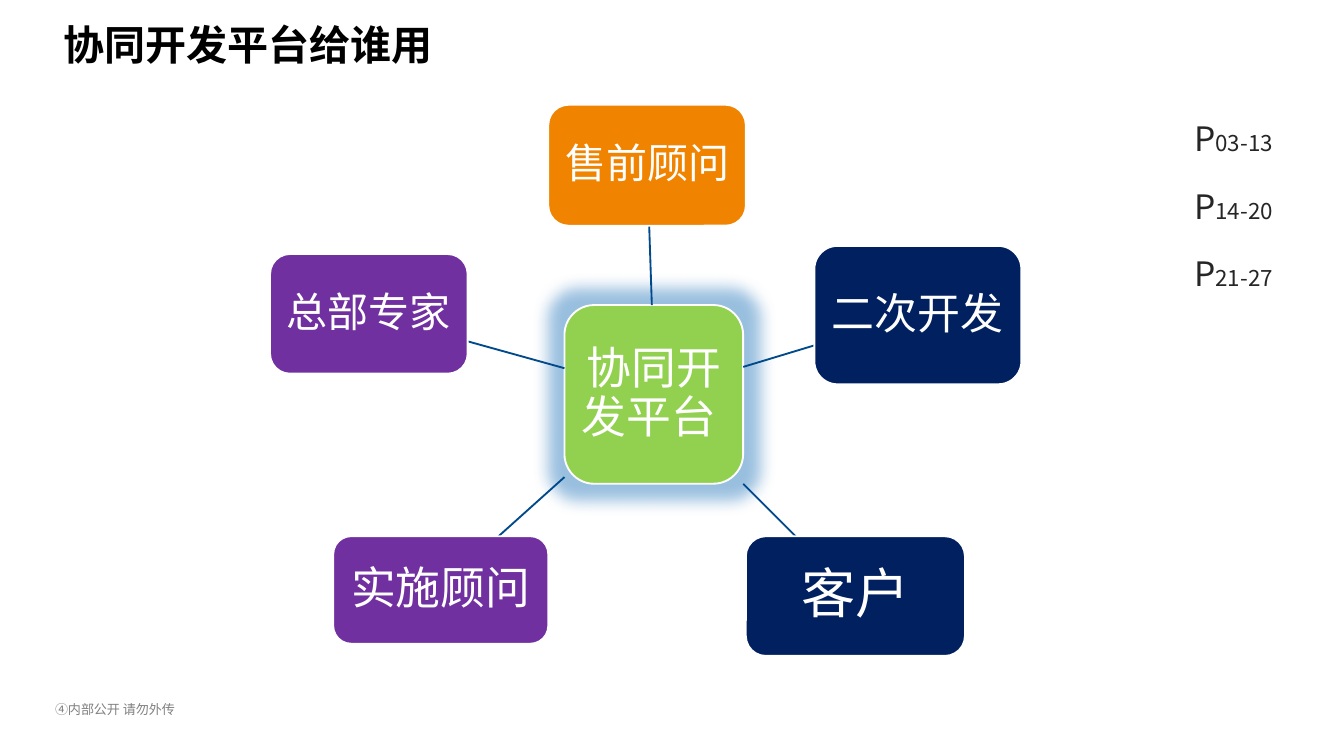
from dataclasses import dataclass

from lxml import etree
from pptx import Presentation
from pptx.dml.color import RGBColor
from pptx.enum import shapes, text
from pptx.oxml.ns import qn
from pptx.util import Inches, Pt


@dataclass(frozen=True)
class Theme:
    """Colours, fonts and type sizes of the slide."""
    white: str = "FFFFFF"
    black: str = "000000"
    body: str = "262626"
    footer: str = "808080"
    line: str = "00498A"
    glow: str = "0060B0"
    green: str = "92D050"
    orange: str = "F08300"
    navy: str = "002060"
    purple: str = "7030A0"
    cjk: str = "Noto Sans CJK SC"
    latin: str = "Calibri"
    title_size: int = 22
    letter_size: int = 18
    range_size: int = 12
    footer_size: int = 7
    hub_size: int = 24


@dataclass(frozen=True)
class Box:
    """Position and size in inches."""
    left: float
    top: float
    width: float
    height: float

    def emu(self) -> tuple:
        """Return the four lengths for python-pptx."""
        return tuple(Inches(v) for v in (self.left, self.top, self.width, self.height))


@dataclass(frozen=True)
class Role:
    """A user group and the spoke that joins it to the hub."""
    label: str
    box: Box
    color: str
    size: int
    start: tuple
    end: tuple


T = Theme()
HUB = Box(4.2, 2.27, 1.33, 1.33)
ROLES = [
    Role("售前顾问", Box(4.08, 0.78, 1.47, 0.9), T.orange, 22, (4.85, 2.27), (4.83, 1.67)),
    Role("二次开发", Box(6.06, 1.83, 1.54, 1.03), T.navy, 23, (5.53, 2.73), (6.06, 2.57)),
    Role("客户", Box(5.55, 3.99, 1.63, 0.89), T.navy, 29, (5.53, 3.6), (5.92, 3.99)),
    Role("实施顾问", Box(2.48, 3.99, 1.6, 0.8), T.purple, 24, (4.2, 3.55), (3.71, 3.99)),
    Role("总部专家", Box(2.01, 1.89, 1.47, 0.89), T.purple, 22, (4.2, 2.74), (3.48, 2.54)),
]
PAGE_RANGES = ["03-13", "14-20", "21-27"]


def style(p, size: float, color: str, font: str, bold: bool = False) -> None:
    """Set the font of a paragraph, East Asian face included."""
    p.font.size = Pt(size)
    p.font.bold = bold
    p.font.color.rgb = RGBColor.from_string(color)
    p.font.name = font
    props = p._p.find(f"{qn('a:pPr')}/{qn('a:defRPr')}")
    etree.SubElement(props, qn("a:ea"), typeface=T.cjk)


def set_margins(tf, x: float, y: float) -> None:
    """Set the side and the top and bottom insets."""
    tf.margin_left = tf.margin_right = Inches(x)
    tf.margin_top = tf.margin_bottom = Inches(y)


def add_node(slide, box: Box, label: str, color: str, size: int):
    """Draw a rounded box with a centred label."""
    sp = slide.shapes.add_shape(shapes.MSO_SHAPE.ROUNDED_RECTANGLE, *box.emu())
    sp.shadow.inherit = False
    sp.fill.solid()
    sp.fill.fore_color.rgb = RGBColor.from_string(color)
    sp.line.color.rgb = RGBColor.from_string(T.white)
    sp.line.width = Pt(1)
    tf = sp.text_frame
    tf.word_wrap = True
    tf.vertical_anchor = text.MSO_ANCHOR.MIDDLE
    set_margins(tf, 0.02, 0.02)
    p = tf.paragraphs[0]
    p.text = label
    p.alignment = text.PP_ALIGN.CENTER
    p.line_spacing = 0.9
    style(p, size, T.white, T.latin)
    return sp


def add_glow(sp, radius: float, color: str, alpha: int) -> None:
    """Put a soft glow around a shape."""
    effects = sp._element.spPr.find(qn("a:effectLst"))
    glow = etree.SubElement(effects, qn("a:glow"), rad=str(Inches(radius)))
    clr = etree.SubElement(glow, qn("a:srgbClr"), val=color)
    etree.SubElement(clr, qn("a:alpha"), val=str(alpha * 1000))


def add_spoke(slide, start: tuple, end: tuple) -> None:
    """Draw a straight line from the hub to a role."""
    ends = [Inches(v) for v in start + end]
    line = slide.shapes.add_connector(shapes.MSO_CONNECTOR.STRAIGHT, *ends)
    line.line.color.rgb = RGBColor.from_string(T.line)
    line.line.width = Pt(1)
    etree.SubElement(line._element.spPr, qn("a:effectLst"))


def add_title(slide, label: str) -> None:
    """Place and format the title."""
    title = slide.shapes.title
    title.left, title.top, title.width, title.height = Box(0.37, 0.06, 8.41, 0.53).emu()
    tf = title.text_frame
    tf.vertical_anchor = text.MSO_ANCHOR.MIDDLE
    p = tf.paragraphs[0]
    p.text = label
    p.alignment = text.PP_ALIGN.LEFT
    style(p, T.title_size, T.black, T.cjk, bold=True)


def add_page_ranges(slide) -> None:
    """List the page ranges at the right edge."""
    tf = slide.shapes.add_textbox(*Box(8.39, 0.67, 1.18, 4.21).emu()).text_frame
    tf.word_wrap = True
    set_margins(tf, 0.1, 0.01)
    for i, pages in enumerate(PAGE_RANGES):
        p = tf.add_paragraph() if i else tf.paragraphs[0]
        p.alignment = text.PP_ALIGN.RIGHT
        p.line_spacing = Pt(36)
        style(p, T.letter_size, T.body, T.cjk)
        p.add_run().text = "P"
        r = p.add_run()
        r.text = pages
        r.font.size = Pt(T.range_size)


def add_footer(slide, label: str) -> None:
    """Write the confidentiality note."""
    tf = slide.shapes.add_textbox(*Box(0.35, 5.13, 1.77, 0.27).emu()).text_frame
    tf.word_wrap = True
    tf.vertical_anchor = text.MSO_ANCHOR.MIDDLE
    set_margins(tf, 0.06, 0.01)
    p = tf.paragraphs[0]
    p.text = label
    p.line_spacing = Pt(10.5)
    style(p, T.footer_size, T.footer, T.cjk)


def main() -> None:
    """Build and save the slide."""
    prs = Presentation()
    prs.slide_width = Inches(10)
    prs.slide_height = prs.slide_width * 9 // 16
    slide = prs.slides.add_slide(prs.slide_layouts[5])
    add_footer(slide, "④内部公开 请勿外传")
    add_title(slide, "协同开发平台给谁用")
    add_page_ranges(slide)
    hub = add_node(slide, HUB, "协同开发平台 ", T.green, T.hub_size)
    add_glow(hub, 0.24, T.glow, 40)
    for role in ROLES:
        add_spoke(slide, role.start, role.end)
        add_node(slide, role.box, role.label, role.color, role.size)
    prs.save("out.pptx")


main()
